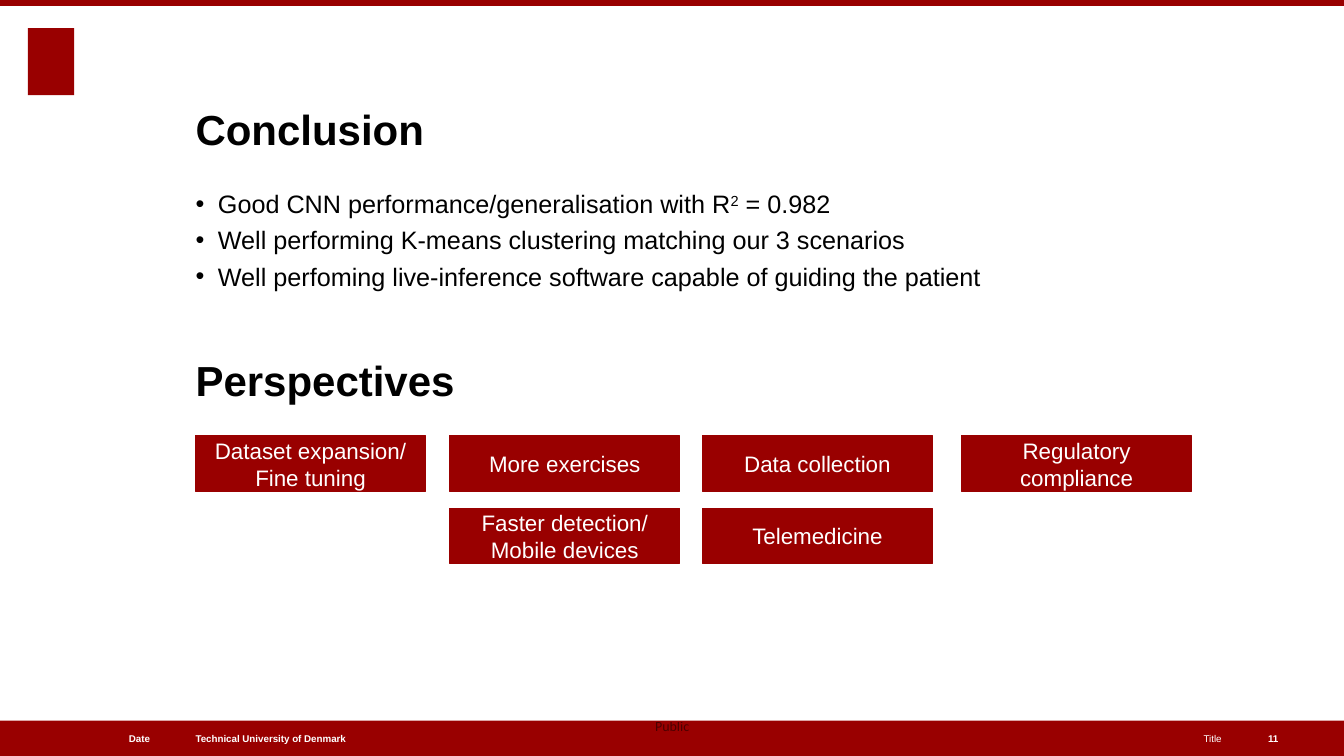
from dataclasses import dataclass

from pptx import Presentation
from pptx import util as u
from pptx.dml import color
from pptx.enum import shapes, text
from pptx.oxml import ns, xmlchemy

RED = "990000"
WHITE = "FFFFFF"
BLACK = "000000"
FOOTER_TOP, FOOTER_HEIGHT = 514.8, 25.2
CONTENT_LEFT, CONTENT_WIDTH = 139.7, 733
COLUMNS = (139.7, 321.3, 501.8, 686.9)
ROWS = (311.4, 362.9)
SUPERSCRIPT_MARK = "^"


@dataclass(frozen=True)
class Area:
    left: float
    top: float
    width: float
    height: float

    def lengths(self) -> list:
        return [u.Pt(v) for v in (self.left, self.top, self.width, self.height)]


@dataclass(frozen=True)
class FooterItem:
    wording: str
    left: float
    width: float
    align: text.PP_ALIGN = text.PP_ALIGN.LEFT
    bold: bool = True


@dataclass(frozen=True)
class Perspective:
    wording: str
    column: int
    row: int


FOOTER = (
    FooterItem("Technical University of Denmark", CONTENT_LEFT, 267.8),
    FooterItem("Date", 20, 87.1, text.PP_ALIGN.RIGHT),
    FooterItem("Title", 439.9, 432.7, text.PP_ALIGN.RIGHT, False),
    FooterItem("11", 905.8, 33.8),
)
CONCLUSIONS = (
    "Good CNN performance/generalisation with R^2^ = 0.982",
    "Well performing K-means clustering matching our 3 scenarios",
    "Well perfoming live-inference software capable of guiding the patient",
)
PERSPECTIVES = (
    Perspective("Dataset expansion/ Fine tuning", 0, 0),
    Perspective("More exercises", 1, 0),
    Perspective("Data collection", 2, 0),
    Perspective("Regulatory compliance", 3, 0),
    Perspective("Faster detection/ Mobile devices", 1, 1),
    Perspective("Telemedicine", 2, 1),
)


def rgb(value: str) -> color.RGBColor:
    return color.RGBColor.from_string(value)


def element(parent, tag: str, **attributes: str):
    child = xmlchemy.OxmlElement(tag)
    for key, value in attributes.items():
        child.set(key, value)
    parent.append(child)
    return child


def write(holder, *lines: str, size: float, ink: str = BLACK, font: str = "Arial",
          bold: bool = False, align=text.PP_ALIGN.LEFT, anchor=text.MSO_ANCHOR.MIDDLE,
          inset: tuple = (0, 0), bullet: bool = False, gap: float = 0,
          wrap: bool = True, alpha: int = 100) -> None:
    frame = holder.text_frame
    frame.word_wrap = wrap
    frame.vertical_anchor = anchor
    frame.margin_left = frame.margin_right = u.Pt(inset[0])
    frame.margin_top = frame.margin_bottom = u.Pt(inset[1])
    for index, line in enumerate(lines):
        paragraph = frame.add_paragraph() if index else frame.paragraphs[0]
        paragraph.alignment = align
        if index:
            paragraph.space_before = u.Pt(gap)
        if bullet:
            properties = paragraph._p.get_or_add_pPr()
            properties.set("marL", str(u.Pt(16)))
            properties.set("indent", str(u.Pt(-16)))
            element(properties, "a:buFont", typeface="Arial")
            element(properties, "a:buChar", char="•")
        for part, wording in enumerate(line.split(SUPERSCRIPT_MARK)):
            run = paragraph.add_run()
            run.text = wording
            run.font.name = font
            run.font.size = u.Pt(size)
            run.font.bold = bold
            run.font.color.rgb = rgb(ink)
            run_properties = run._r.get_or_add_rPr()
            if part % 2:
                run_properties.set("baseline", "30000")
            if alpha < 100:
                tint = run_properties.find(".//" + ns.qn("a:srgbClr"))
                element(tint, "a:alpha", val=str(alpha * 1000))


def add_text(slide, area: Area, *lines: str, **style) -> None:
    write(slide.shapes.add_textbox(*area.lengths()), *lines, **style)


def add_block(slide, area: Area, outlined: bool = False):
    block = slide.shapes.add_shape(shapes.MSO_SHAPE.RECTANGLE, *area.lengths())
    block.shadow.inherit = False
    block.fill.solid()
    block.fill.fore_color.rgb = rgb(RED)
    if outlined:
        block.line.color.rgb = rgb(RED)
        block.line.width = u.Pt(0.75)
    else:
        block.line.fill.background()
    return block


def main() -> None:
    deck = Presentation()
    deck.slide_width, deck.slide_height = u.Pt(960), u.Pt(540)
    slide = deck.slides.add_slide(deck.slide_layouts[6])

    add_block(slide, Area(0, FOOTER_TOP, 960, FOOTER_HEIGHT))
    add_block(slide, Area(0, 0, 960, 4.3))
    add_block(slide, Area(20, 20, 33, 48))

    for item in FOOTER:
        add_text(slide, Area(item.left, FOOTER_TOP, item.width, FOOTER_HEIGHT),
                 item.wording, size=7, ink=WHITE, bold=item.bold, align=item.align)
    add_text(slide, Area(468, 512.8, 26.6, 12.2), "Public", size=10, font="Calibri",
             alpha=50, anchor=text.MSO_ANCHOR.TOP, wrap=False)

    for heading, top in (("Conclusion", 33.8), ("Perspectives", 213.1)):
        add_text(slide, Area(CONTENT_LEFT, top, CONTENT_WIDTH, 76.3), heading,
                 size=30, bold=True, anchor=text.MSO_ANCHOR.BOTTOM)
    add_text(slide, Area(CONTENT_LEFT, 134.6, CONTENT_WIDTH, 113), *CONCLUSIONS,
             size=18, bullet=True, gap=4.3, anchor=text.MSO_ANCHOR.TOP)

    for perspective in PERSPECTIVES:
        area = Area(COLUMNS[perspective.column], ROWS[perspective.row], 164.2, 39.6)
        write(add_block(slide, area, outlined=True), perspective.wording, size=16,
              ink=WHITE, align=text.PP_ALIGN.CENTER, inset=(7.2, 3.6))

    deck.save("out.pptx")


if __name__ == "__main__":
    main()
